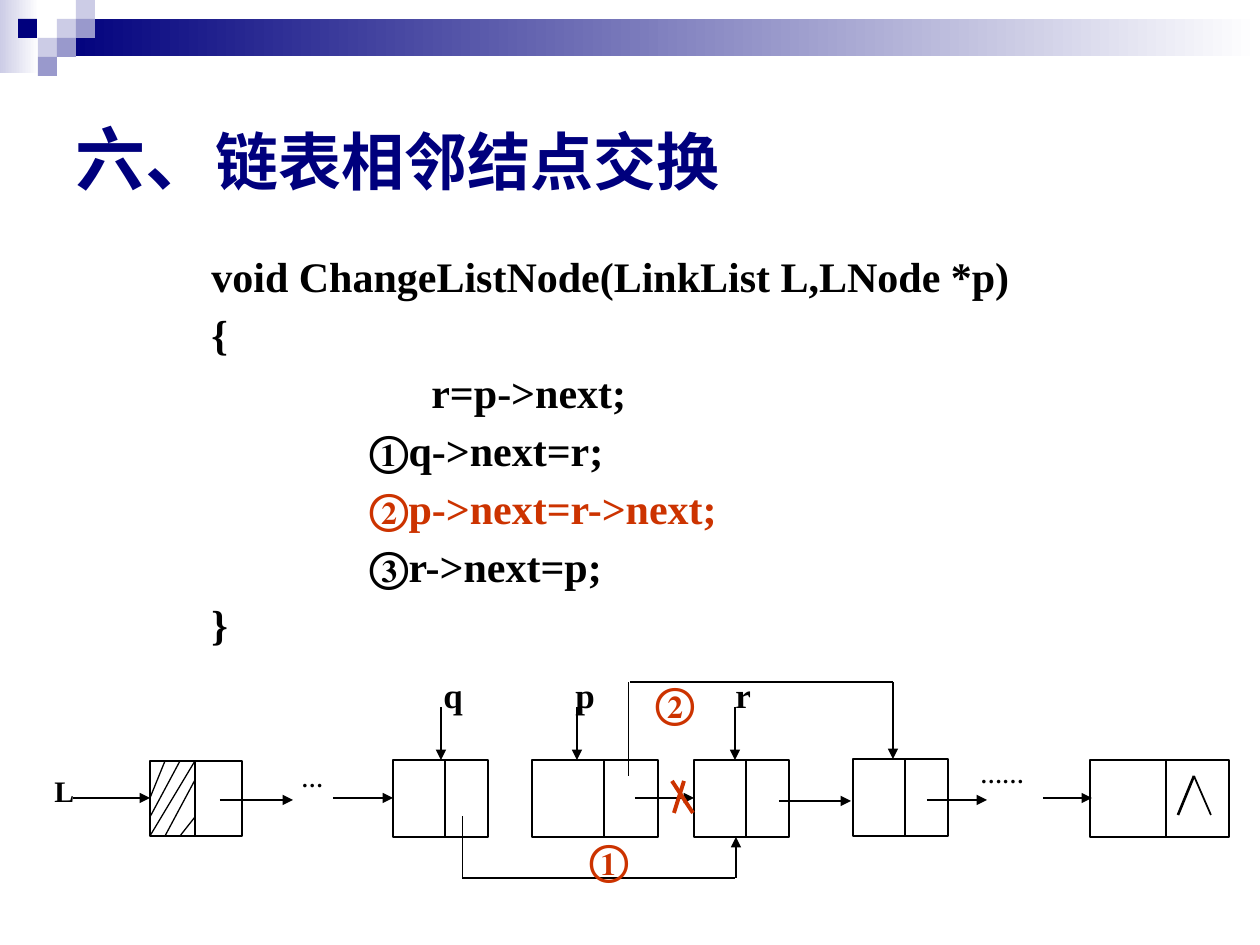
from dataclasses import dataclass

from lxml import etree
from pptx import Presentation
from pptx.dml.color import RGBColor
from pptx.enum import shapes, text
from pptx.oxml.ns import qn
from pptx.util import Emu, Pt

SCALE = 914400 // 126  # EMU in one px


@dataclass(frozen=True)
class Theme:
    navy: str = "00007D"
    mid: str = "9999CC"
    pale: str = "CCCCE6"
    white: str = "FFFFFF"
    ink: str = "000000"
    red: str = "CC3300"
    serif: str = "Times New Roman"
    sans: str = "Arial"
    head: float = 40
    title: float = 36
    code: float = 24
    label: float = 20
    start: float = 17
    dots: float = 12.5
    hair: float = 0.25
    thin: float = 0.75
    bold: float = 2.25


T = Theme()


def px(n):
    return Emu(n * SCALE)


def rgb(code):
    return RGBColor.from_string(code)


def style(run, size, color=T.ink, face=T.serif):
    font = run.font
    font.size, font.bold, font.name = Pt(size), True, face
    font.color.rgb = rgb(color)


def box(slide, x, y, w, h, fill, line=None):
    """Rectangle; a pair of colours as fill gives a gradient."""
    shape = slide.shapes.add_shape(
        shapes.MSO_SHAPE.RECTANGLE, px(x), px(y), px(w), px(h))
    shape.shadow.inherit = False
    if isinstance(fill, tuple):
        shape.fill.gradient()
        shape.fill.gradient_angle = 0
        for stop, color in zip(shape.fill.gradient_stops, fill):
            stop.color.rgb = rgb(color)
    else:
        shape.fill.solid()
        shape.fill.fore_color.rgb = rgb(fill)
    if line:
        shape.line.color.rgb = rgb(line)
        shape.line.width = Pt(T.thin)
    else:
        shape.line.fill.background()


def rule(slide, x1, y1, x2, y2, width=T.thin, color=T.ink, arrow=False):
    line = slide.shapes.add_connector(
        shapes.MSO_CONNECTOR.STRAIGHT, px(x1), px(y1), px(x2), px(y2))
    line.line.color.rgb = rgb(color)
    line.line.width = Pt(width)
    if arrow:
        ln = line.line._get_or_add_ln()
        etree.SubElement(ln, qn("a:tailEnd"), type="triangle")
    etree.SubElement(line._element.spPr, qn("a:effectLst"))


def note(slide, x, y, w, h, words, size, color=T.ink, space=1.0, wrap=True):
    frame = slide.shapes.add_textbox(px(x), px(y), px(w), px(h)).text_frame
    frame.word_wrap = wrap
    frame.text = words
    para = frame.paragraphs[0]
    para.line_spacing = space
    style(para.runs[0], size, color)


def node(slide, x, y, w, h, split):
    """List node: data field and link field."""
    box(slide, x, y, w, h, T.white, T.ink)
    rule(slide, split, y, split, y + h)


def banner(slide):
    box(slide, 0, 0, 39, 73, (T.pale, T.white))
    box(slide, 57, 19, 1203, 37, (T.navy, T.white))
    tiles = [(57, 19, T.pale), (76, 0, T.pale), (76, 19, T.mid),
             (38, 38, T.pale), (18, 19, T.navy), (57, 38, T.mid),
             (38, 57, T.mid)]
    for x, y, color in tiles:
        box(slide, x, y, 19, 19, color)


def title(slide):
    shape = slide.shapes.title
    shape.left, shape.top = px(63), px(63)
    shape.width, shape.height = px(1134), px(189)
    frame = shape.text_frame
    frame.auto_size = text.MSO_AUTO_SIZE.NONE
    frame.vertical_anchor = text.MSO_ANCHOR.MIDDLE
    para = frame.paragraphs[0]
    para.alignment = text.PP_ALIGN.LEFT
    for words, size in (("六、", T.head), ("链表相邻结点交换", T.title)):
        run = para.add_run()
        run.text = words
        style(run, size, T.navy, T.sans)


def code(slide):
    lines = [
        ("void ChangeListNode(LinkList L,LNode *p)", 0, T.ink),
        ("{", 0, T.ink),
        ("r=p->next;", 220, T.ink),
        ("①q->next=r;", 158, T.ink),
        ("②p->next=r->next;", 158, T.red),
        ("③r->next=p;", 158, T.ink),
        ("}", 0, T.ink),
    ]
    frame = slide.shapes.add_textbox(
        px(199), px(250), px(873), px(432)).text_frame
    frame.word_wrap = True
    frame.text = "\n".join(words for words, _, _ in lines)
    for i, (para, (_, indent, color)) in enumerate(
            zip(frame.paragraphs, lines)):
        para._p.get_or_add_pPr().set("marL", str(px(indent)))
        para.line_spacing = 0.9
        if i:
            para.space_before = Pt(7.2)
        style(para.runs[0], T.code, color)


def chain(slide):
    # Nodes
    top, tall = 760, 77
    for x, y, w, h, split in [
            (150, 761, 92, 75, 195), (393, top, 95, tall, 445),
            (532, top, 126, tall, 604), (694, top, 95, tall, 746),
            (853, top - 1, 95, tall, 905), (1090, top, 139, tall, 1166)]:
        node(slide, x, y, w, h, split)

    # Hatching of the head node
    for x1, y1, x2, y2 in [(195, 761, 150, 836), (165, 761, 150, 798),
                           (180, 761, 150, 817), (195, 780, 165, 836),
                           (195, 817, 180, 836)]:
        rule(slide, x1, y1, x2, y2)

    # Null mark of the last node
    rule(slide, 1178, 815, 1194, 776, 1.5)
    rule(slide, 1194, 776, 1211, 815, 1)

    # Links
    for x1, x2, y in [(73, 150, 798), (220, 293, 800), (333, 393, 798),
                      (635, 694, 798), (779, 851, 801), (927, 987, 800),
                      (1043, 1092, 798)]:
        rule(slide, x1, y, x2, y, arrow=True)

    # Pointers
    for name, left, x in (("q", 431, 441), ("p", 563, 577), ("r", 723, 735)):
        rule(slide, x, 707, x, top, arrow=True)
        note(slide, left, 667, 45, 55, name, T.label)

    # New link 1, under the nodes
    rule(slide, 462, 878, 462, 816, T.hair)
    rule(slide, 462, 878, 735, 878)
    rule(slide, 736, 878, 736, 837, arrow=True)

    # New link 2, over the nodes
    rule(slide, 628, 776, 628, 682, T.hair)
    rule(slide, 630, 682, 893, 682)
    rule(slide, 893, 682, 893, 759, arrow=True)

    # Cross on the cut link
    rule(slide, 684, 781, 674, 813, T.bold, T.red)
    rule(slide, 672, 781, 693, 813, T.bold, T.red)

    # Labels
    note(slide, 577, 827, 64, 63, "①", T.code, T.red, wrap=False)
    note(slide, 643, 670, 64, 63, "②", T.code, T.red, wrap=False)
    note(slide, 42, 771, 53, 53, "L", T.start, space=0.9)
    note(slide, 289, 764, 60, 42, "…", T.dots, space=0.8)
    note(slide, 968, 761, 103, 42, "……", T.dots, space=0.8)


def main():
    deck = Presentation()
    deck.slide_width, deck.slide_height = px(1260), px(945)
    slide = deck.slides.add_slide(deck.slide_layouts[5])
    banner(slide)
    title(slide)
    code(slide)
    chain(slide)
    deck.save("out.pptx")


if __name__ == "__main__":
    main()
